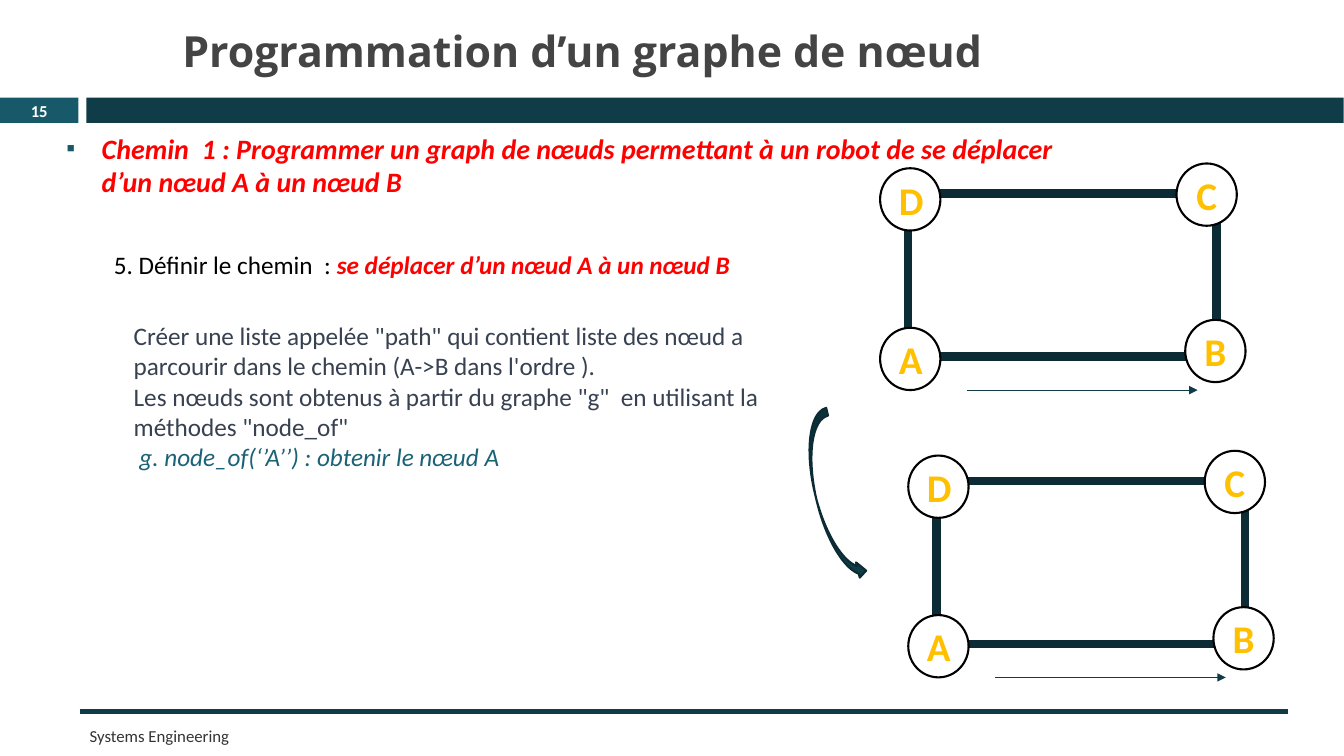
"""Build the slide on programming a path through a graph of nodes."""
import pptx
import pptx.dml.color
import pptx.enum.shapes
import pptx.enum.text
import pptx.oxml.ns
import pptx.util
from lxml import etree

RED = pptx.dml.color.RGBColor(0xFF, 0x00, 0x00)
WHITE = pptx.dml.color.RGBColor(0xFF, 0xFF, 0xFF)
BLACK = pptx.dml.color.RGBColor(0x00, 0x00, 0x00)
AMBER = pptx.dml.color.RGBColor(0xFF, 0xC0, 0x00)
SLATE = pptx.dml.color.RGBColor(0x37, 0x41, 0x51)
TITLE_GREY = pptx.dml.color.RGBColor(0x44, 0x44, 0x44)
FOOTER_GREY = pptx.dml.color.RGBColor(0x34, 0x34, 0x34)
TEAL = pptx.dml.color.RGBColor(0x17, 0x59, 0x69)
CODE_TEAL = pptx.dml.color.RGBColor(0x1A, 0x63, 0x76)
DARK_TEAL = pptx.dml.color.RGBColor(0x10, 0x3C, 0x47)
EDGE_TEAL = pptx.dml.color.RGBColor(0x0C, 0x2C, 0x35)

SHAPE = pptx.enum.shapes.MSO_SHAPE
ALIGN = pptx.enum.text.PP_ALIGN
ANCHOR = pptx.enum.text.MSO_ANCHOR

NUMBER = {"size": 11.9, "bold": True, "color": WHITE}
FOOTER = {"size": 12, "color": FOOTER_GREY}
TITLE = {"size": 30.6, "bold": True, "color": TITLE_GREY, "name": "Open Sans"}
HEADING = {"size": 20, "bold": True, "italic": True, "color": RED}
STEP = {"size": 18, "color": BLACK}
GOAL = {"size": 18, "bold": True, "italic": True, "color": RED}
INSTRUCTION = {"size": 18, "color": SLATE}
CODE = {"size": 18, "italic": True, "color": CODE_TEAL}
NODE = {"size": 28, "bold": True, "color": AMBER}

NODE_OFFSETS = {
    "A": (-0.71, 3.38),
    "B": (6.98, 3.18),
    "D": (-0.71, -0.64),
    "C": (6.76, -0.76),
}
GRAPH_ORIGINS = [(22.89, 4.88), (23.6, 12.12)]


def lengths(*values):
    """Turn centimetre values into lengths."""
    return [pptx.util.Cm(value) for value in values]


def format_font(font, values):
    """Apply a dict of format values to a font."""
    for key, value in {"name": "Calibri", **values}.items():
        if key == "color":
            font.color.rgb = value
        else:
            setattr(font, key, pptx.util.Pt(value) if key == "size" else value)


def write(frame, paragraphs, align=ALIGN.LEFT, anchor=ANCHOR.TOP):
    """Fill a text frame with paragraphs made of (text, format) runs."""
    frame.word_wrap = True
    frame.vertical_anchor = anchor
    for index, runs in enumerate(paragraphs):
        paragraph = frame.add_paragraph() if index else frame.paragraphs[0]
        paragraph.alignment = align
        paragraph.space_before = pptx.util.Pt(0)
        for text, values in runs:
            run = paragraph.add_run()
            run.text = text
            format_font(run.font, values)


def add_text(slide, box, paragraphs, **layout):
    """Add a text box."""
    write(slide.shapes.add_textbox(*lengths(*box)).text_frame, paragraphs, **layout)


def add_figure(slide, kind, box, fill=None, line=None, width=0):
    """Add a preset shape with an optional fill and outline."""
    figure = slide.shapes.add_shape(kind, *lengths(*box))
    figure.shadow.inherit = False
    if fill is None:
        figure.fill.background()
    else:
        figure.fill.solid()
        figure.fill.fore_color.rgb = fill
    if line is None:
        figure.line.fill.background()
    else:
        figure.line.color.rgb = line
        figure.line.width = pptx.util.Pt(width)
    return figure


def add_line(slide, ends, width, arrow=False):
    """Add a straight line, with an arrowhead at its end if asked."""
    straight = pptx.enum.shapes.MSO_CONNECTOR.STRAIGHT
    rule = slide.shapes.add_connector(straight, *lengths(*ends))
    rule.line.color.rgb = DARK_TEAL
    rule.line.width = pptx.util.Pt(width)
    properties = rule._element.spPr
    if arrow:
        outline = properties.find(pptx.oxml.ns.qn("a:ln"))
        etree.SubElement(outline, pptx.oxml.ns.qn("a:tailEnd"), type="triangle")
    etree.SubElement(properties, pptx.oxml.ns.qn("a:effectLst"))


def add_bullet(paragraph):
    """Give a paragraph a small square teal bullet and a hanging indent."""
    properties = paragraph._p.get_or_add_pPr()
    indent = pptx.util.Cm(0.89)
    properties.set("marL", str(indent))
    properties.set("indent", str(-indent))
    colour = etree.SubElement(properties, pptx.oxml.ns.qn("a:buClr"))
    etree.SubElement(colour, pptx.oxml.ns.qn("a:srgbClr"), val=str(TEAL))
    etree.SubElement(properties, pptx.oxml.ns.qn("a:buSzPct"), val="90000")
    etree.SubElement(properties, pptx.oxml.ns.qn("a:buChar"), char="▪")


def fill_placeholder(placeholder, box, paragraphs, **layout):
    """Move a placeholder and write its text."""
    for side, value in zip(("left", "top", "width", "height"), lengths(*box)):
        setattr(placeholder, side, value)
    write(placeholder.text_frame, paragraphs, **layout)


def add_graph(slide, left, top):
    """Draw the four-node graph with its travel arrow."""
    add_figure(slide, SHAPE.RECTANGLE, (left, top, 7.77, 4.11), line=EDGE_TEAL, width=6)
    for letter, (across, down) in NODE_OFFSETS.items():
        circle = (left + across, top + down, 1.52, 1.57)
        node = add_figure(slide, SHAPE.OVAL, circle, WHITE, BLACK, 1.5)
        write(node.text_frame, [[(letter, NODE)]], ALIGN.CENTER, ANCHOR.MIDDLE)
    travel = top + 4.95
    add_line(slide, (left + 1.47, travel, left + 7.29, travel), 0.79, arrow=True)


def main():
    """Build and save the slide."""
    deck = pptx.Presentation()
    deck.slide_width, deck.slide_height = lengths(33.87, 19.05)
    slide = deck.slides.add_slide(deck.slide_layouts[1])
    title, heading = slide.placeholders

    add_figure(slide, SHAPE.RECTANGLE, (0, 2.46, 1.98, 0.64), TEAL)
    add_figure(slide, SHAPE.RECTANGLE, (2.18, 2.46, 31.68, 0.64), DARK_TEAL)
    add_line(slide, (2.01, 17.93, 32.46, 17.93), 4)
    add_text(slide, (0, 2.44, 1.98, 0.69), [[("15", NUMBER)]],
             align=ALIGN.CENTER, anchor=ANCHOR.MIDDLE)
    add_text(slide, (2.01, 18.14, 19.2, 0.79), [[("Systems Engineering", FOOTER)]],
             anchor=ANCHOR.MIDDLE)

    fill_placeholder(title, (4.34, 0.36, 20.68, 1.8),
                     [[("Programmation d’un graphe de nœud", TITLE)]],
                     anchor=ANCHOR.MIDDLE)
    fill_placeholder(heading, (1.42, 3.18, 25.86, 1.96), [[(
        "Chemin  1 : Programmer un graph de nœuds permettant à un robot "
        "de se déplacer d’un nœud A à un nœud B", HEADING)]])
    add_bullet(heading.text_frame.paragraphs[0])

    add_text(slide, (2.62, 6.15, 16.38, 1.02), [[
        ("5. Définir le chemin  : ", STEP),
        ("se déplacer d’un nœud A à un nœud B", GOAL),
    ]])
    add_text(slide, (3.12, 7.95, 16.94, 4.11), [
        [("Créer une liste appelée \"path\" qui contient liste des nœud a "
          "parcourir dans le chemin (A->B dans l'ordre ).", INSTRUCTION)],
        [("Les nœuds sont obtenus à partir du graphe \"g\"  en utilisant la "
          "méthodes \"node_of\"", INSTRUCTION)],
        [(" ", INSTRUCTION), ("g. node_of(‘’A’’) : obtenir le nœud A", CODE)],
    ])

    for origin in GRAPH_ORIGINS:
        add_graph(slide, *origin)
    next_step = add_figure(slide, SHAPE.CURVED_RIGHT_ARROW,
                           (20.57, 10.31, 0.79, 4.42), DARK_TEAL, EDGE_TEAL, 1.5)
    next_step.rotation = 346.2

    deck.save("out.pptx")


if __name__ == "__main__":
    main()
